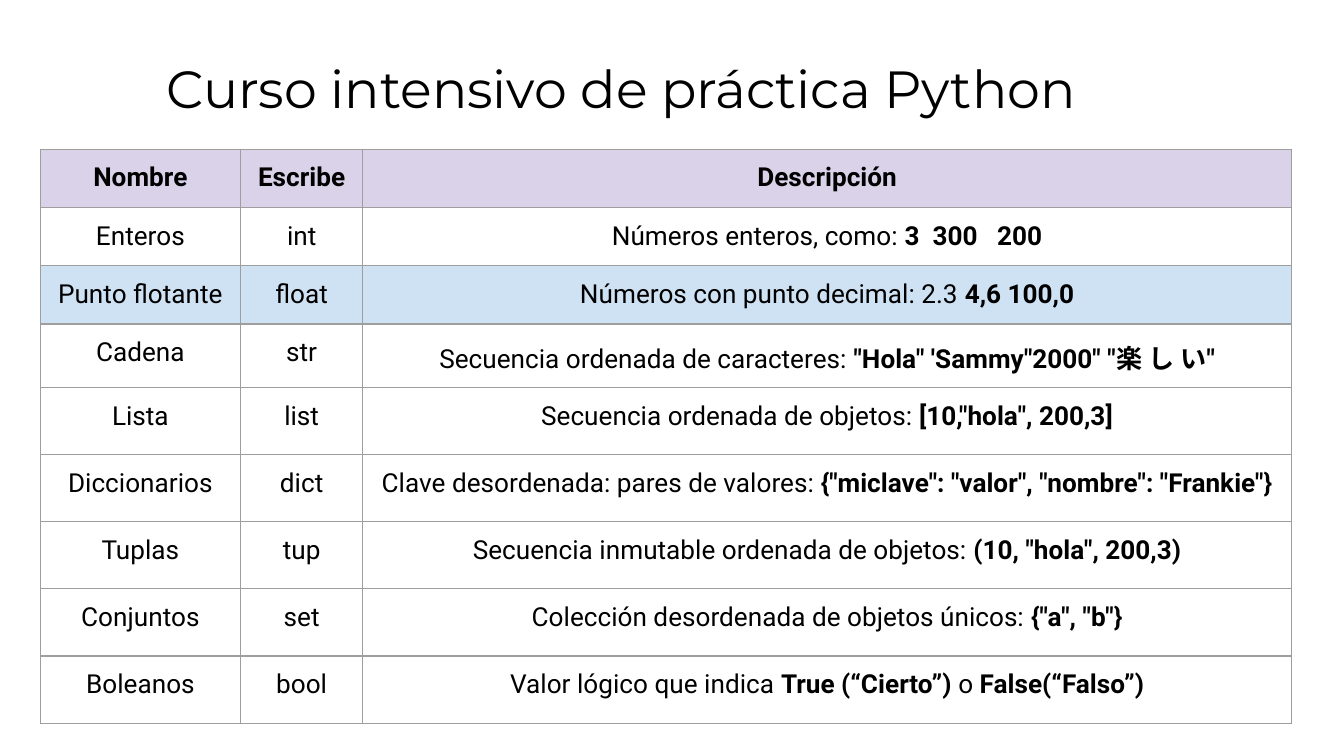
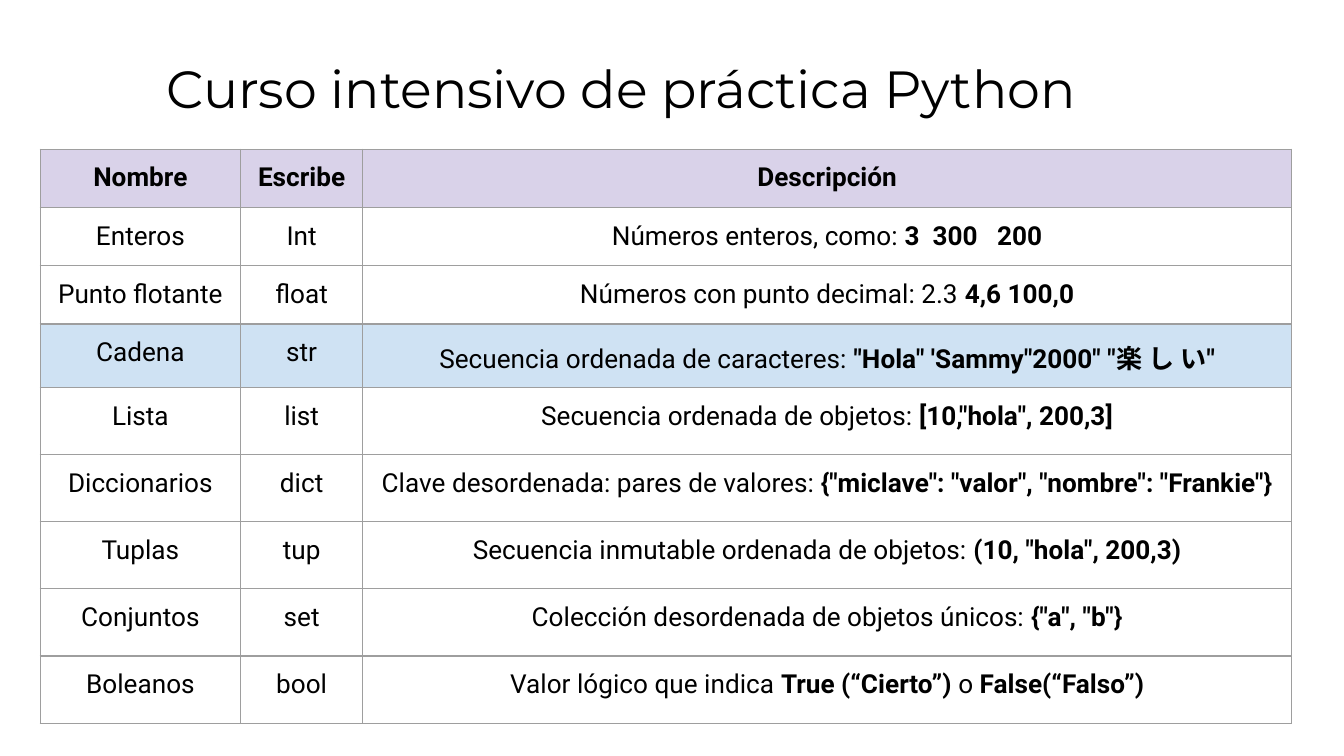
from pptx import Presentation
from pptx import util as u
from pptx.dml.color import RGBColor
from pptx.enum import text
from pptx.oxml import parse_xml
from pptx.oxml.ns import nsdecls

BLACK = RGBColor(0x00, 0x00, 0x00)
LILAC = RGBColor(0xD9, 0xD2, 0xE9)
SKY = RGBColor(0xCF, 0xE2, 0xF3)
GREY = RGBColor(0x9E, 0x9E, 0x9E)

TITLE = "Curso intensivo de práctica Python"
COLUMNS = [1.49, 0.91, 6.91]
ROWS = [0.39, 0.36, 0.32, 0.47] + [0.5] * 5
HEADER = ["Nombre", "Escribe", "Descripción"]

# Name, type, then description parts: regular and bold in turn
TYPES = [
    ("Enteros", "int", "Números enteros, como: ", "3  300   200"),
    ("Punto flotante", "float", "Números con punto decimal: 2.3", " 4,6 100,0"),
    ("Cadena", "str", "Secuencia ordenada de caracteres: ",
     "\"Hola\" 'Sammy\"2000\" \"楽 し い\""),
    ("Lista", "list", "Secuencia ordenada de objetos: ", '[10,"hola", 200,3]'),
    ("Diccionarios", "dict", "Clave desordenada: pares de valores: ",
     '{"miclave": "valor", "nombre": "Frankie"}'),
    ("Tuplas", "tup", "Secuencia inmutable ordenada de objetos: ",
     '(10, "hola", 200,3)'),
    ("Conjuntos", "set", "Colección desordenada de objetos únicos: ", '{"a", "b"}'),
    ("Boleanos", "bool", "Valor lógico que indica ", "True (“Cierto”) ", "o ",
     "False(“Falso”)"),
]


class Deck:
    def __init__(self):
        self.prs = Presentation()
        # Widescreen, 16:9
        self.prs.slide_width = u.Inches(10)
        self.prs.slide_height = u.Inches(10 * 9 / 16)
        self.s = None

    def slide(self):
        self.s = self.prs.slides.add_slide(self.prs.slide_layouts[6])

    def run(self, p, words, font, size, bold=False):
        r = p.add_run()
        r.text = words
        r.font.name = font
        r.font.size = u.Pt(size)
        r.font.bold = bold
        r.font.color.rgb = BLACK

    def title(self, words):
        sp = self.s.shapes.add_textbox(
            u.Inches(1.14), u.Inches(0.32), u.Inches(8.52), u.Inches(0.63))
        tf = sp.text_frame
        tf.word_wrap = True
        tf.margin_left = tf.margin_right = u.Inches(0.1)
        tf.margin_top = tf.margin_bottom = u.Inches(0.1)
        self.run(tf.paragraphs[0], words, "Montserrat", 28)

    def borders(self, cell):
        tc_pr = cell._tc.get_or_add_tcPr()
        for side in "LRTB":
            tc_pr.append(parse_xml(
                f'<a:ln{side} {nsdecls("a")} w="{u.Pt(0.75)}"><a:solidFill>'
                f'<a:srgbClr val="{GREY}"/></a:solidFill></a:ln{side}>'))

    def cell(self, cell, parts, fill=None, header=False):
        cell.margin_left = cell.margin_right = u.Inches(0.1)
        cell.margin_top = cell.margin_bottom = u.Inches(0.1)
        self.borders(cell)
        if fill is None:
            cell.fill.background()
        else:
            cell.fill.solid()
            cell.fill.fore_color.rgb = fill
        p = cell.text_frame.paragraphs[0]
        p.alignment = text.PP_ALIGN.CENTER
        for i, words in enumerate(parts):
            self.run(p, words, "Roboto", 14, header or i % 2 == 1)

    def table(self, types, highlight):
        tbl = self.s.shapes.add_table(
            len(ROWS), len(COLUMNS), u.Inches(0.3), u.Inches(1.11),
            u.Inches(sum(COLUMNS)), u.Inches(sum(ROWS))).table
        tbl.horz_banding = False
        for col, width in zip(tbl.columns, COLUMNS):
            col.width = u.Inches(width)
        for row, height in zip(tbl.rows, ROWS):
            row.height = u.Inches(height)

        # Header
        for c, words in enumerate(HEADER):
            self.cell(tbl.cell(0, c), [words], LILAC, header=True)

        # One row per data type
        for r, (name, kind, *description) in enumerate(types, 1):
            fill = SKY if name == highlight else None
            for c, parts in enumerate(([name], [kind], description)):
                self.cell(tbl.cell(r, c), parts, fill)


def main():
    deck = Deck()
    # The second slide capitalises the first type
    (name, _, *description), *others = TYPES
    for int_label, highlight in (("int", "Punto flotante"), ("Int", "Cadena")):
        deck.slide()
        deck.title(TITLE)
        deck.table([(name, int_label, *description), *others], highlight)
    deck.prs.save("out.pptx")


if __name__ == "__main__":
    main()
